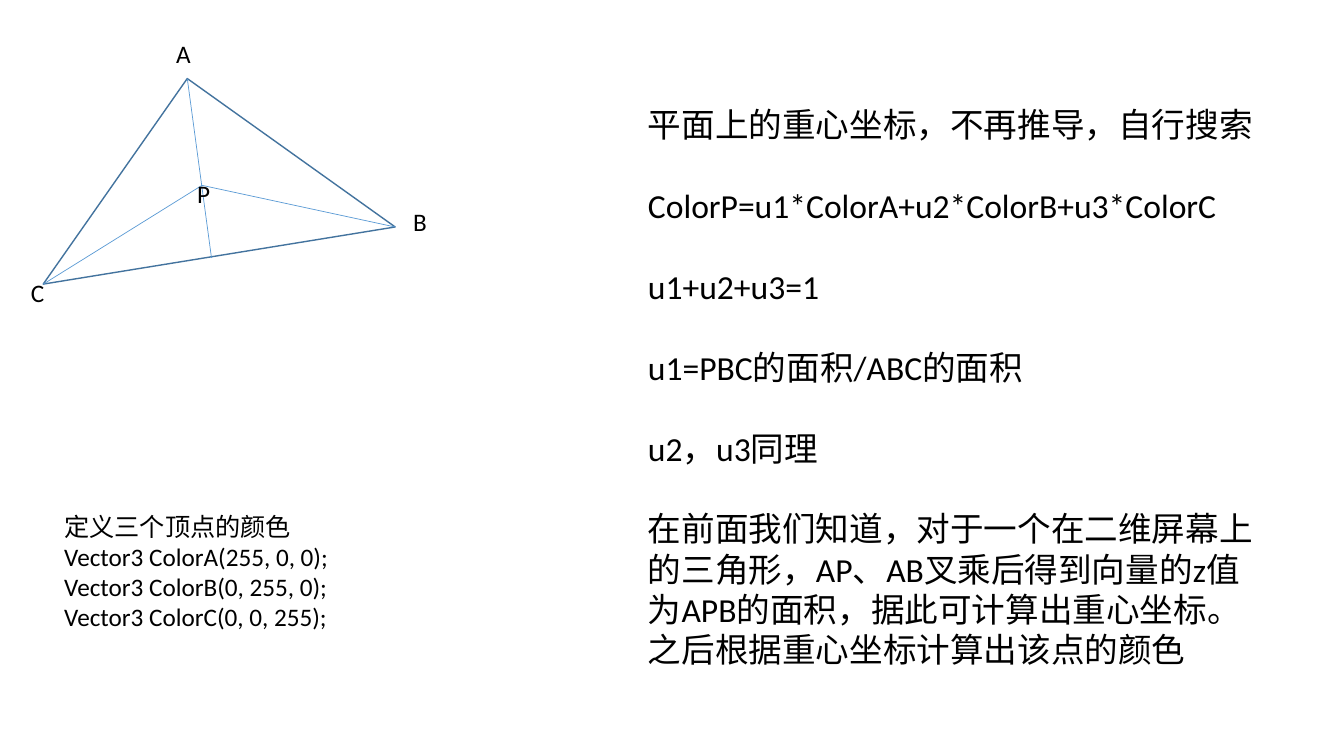
from typing import NamedTuple

from lxml.etree import SubElement
from pptx import Presentation
from pptx.dml.color import RGBColor
from pptx.enum.shapes import MSO_CONNECTOR as Connector
from pptx.enum.text import MSO_AUTO_SIZE as AutoSize
from pptx.oxml.ns import qn
from pptx.util import Cm, Pt

BLACK = RGBColor(0x00, 0x00, 0x00)
OUTLINE_BLUE = RGBColor(0x43, 0x73, 0x9E)
LINE_BLUE = RGBColor(0x5B, 0x9B, 0xD5)
FONT = "Calibri"


class Point(NamedTuple):
    x: float
    y: float


class Label(NamedTuple):
    text: str
    left: float
    top: float


# Geometry in centimetres
A = Point(4.72, 1.98)
B = Point(9.96, 5.72)
C = Point(1.09, 7.16)
P = Point(5.09, 4.67)
FOOT = Point(5.33, 6.5)

INNER_LINES = [(A, FOOT), (C, P), (P, B)]
LABELS = [
    Label("A", 4.19, 0.84),
    Label("B", 10.16, 5.08),
    Label("C", 0.53, 6.86),
    Label("P", 4.72, 4.37),
]

EXPLANATION = [
    "平面上的重心坐标，不再推导，自行搜索",
    "ColorP=u1*ColorA+u2*ColorB+u3*ColorC",
    "u1+u2+u3=1",
    "u1=PBC的面积/ABC的面积",
    "u2，u3同理",
    "在前面我们知道，对于一个在二维屏幕上的三角形，AP、AB叉乘后得到向量的z值为APB的面积，"
    "据此可计算出重心坐标。之后根据重心坐标计算出该点的颜色",
]
VERTEX_COLORS = [
    "定义三个顶点的颜色",
    "Vector3 ColorA(255, 0, 0);",
    "Vector3 ColorB(0, 255, 0);",
    "Vector3 ColorC(0, 0, 255);",
]


def add_text(slide, lines: list[str], left: float, top: float, width: float,
             height: float, *, size: float = 18, gap: float = 0) -> None:
    box = slide.shapes.add_textbox(Cm(left), Cm(top), Cm(width), Cm(height))
    frame = box.text_frame
    frame.word_wrap = True
    frame.auto_size = AutoSize.SHAPE_TO_FIT_TEXT
    for index, line in enumerate(lines):
        paragraph = frame.add_paragraph() if index else frame.paragraphs[0]
        paragraph.space_before = Pt(gap if index else 0)
        run = paragraph.add_run()
        run.text = line
        run.font.name = FONT
        run.font.size = Pt(size)
        run.font.color.rgb = BLACK


def add_triangle(slide, *corners: Point) -> None:
    first, *others = [(Cm(corner.x), Cm(corner.y)) for corner in corners]
    builder = slide.shapes.build_freeform(*first)
    builder.add_line_segments(others, close=True)
    triangle = builder.convert_to_shape()
    triangle.shadow.inherit = False
    triangle.fill.background()
    triangle.line.color.rgb = OUTLINE_BLUE
    triangle.line.width = Pt(1)


def add_line(slide, start: Point, end: Point) -> None:
    line = slide.shapes.add_connector(
        Connector.STRAIGHT, Cm(start.x), Cm(start.y), Cm(end.x), Cm(end.y))
    line.line.color.rgb = LINE_BLUE
    line.line.width = Pt(0.5)
    SubElement(line._element.spPr, qn("a:effectLst"))


def main() -> None:
    presentation = Presentation()
    presentation.slide_width = Cm(33.87)
    presentation.slide_height = Cm(19.05)
    slide = presentation.slides.add_slide(presentation.slide_layouts[6])

    # Triangle with its inner lines and point names
    add_triangle(slide, A, B, C)
    for start, end in INNER_LINES:
        add_line(slide, start, end)
    for label in LABELS:
        add_text(slide, [label.text], label.left, label.top, 1.55, 1.02)

    # Explanation and vertex colours
    add_text(slide, EXPLANATION, 16.08, 2.49, 15.85, 14.6, size=24, gap=29)
    add_text(slide, VERTEX_COLORS, 1.37, 12.75, 11.56, 3.33)

    presentation.save("out.pptx")


if __name__ == "__main__":
    main()
